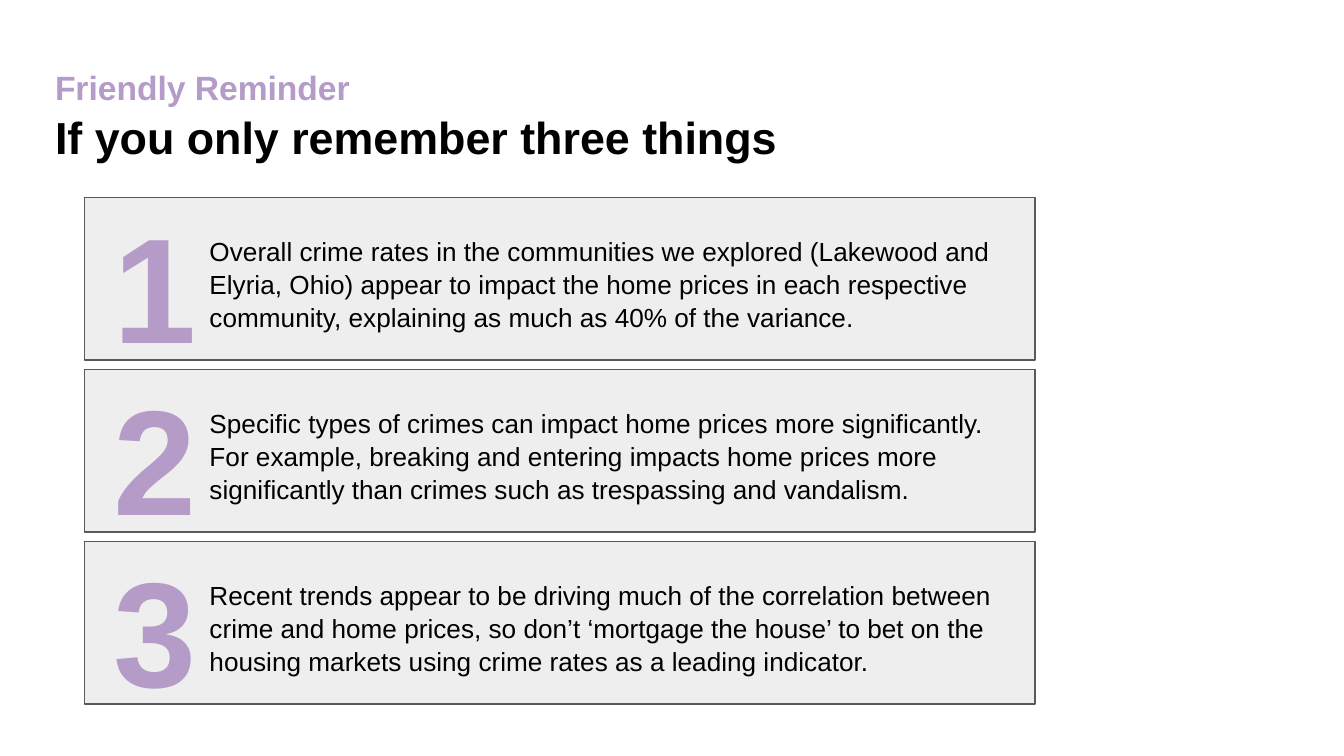
import pptx
import pptx.util
import pptx.dml.color
import pptx.enum.shapes
import pptx.enum.text
from pptx.util import Cm, Pt

COLORS = {"accent": "B49BC8", "text": "000000", "panel": "EEEEEE", "border": "595959"}
ALIGN = pptx.enum.text.PP_ALIGN
ANCHOR = pptx.enum.text.MSO_ANCHOR


def rgb(name):
    return pptx.dml.color.RGBColor.from_string(COLORS[name])


def write(frame, lines, anchor=ANCHOR.TOP, align=ALIGN.LEFT):
    """Fill a text frame with lines of (text, size, colour, bold)."""
    frame.word_wrap = True
    frame.auto_size = pptx.enum.text.MSO_AUTO_SIZE.NONE
    frame.vertical_anchor = anchor
    frame.margin_left = frame.margin_right = Cm(0.25)
    frame.margin_top = frame.margin_bottom = Cm(0.25)
    frame.text = "\n".join(line[0] for line in lines)
    for paragraph, (_, size, color, bold) in zip(frame.paragraphs, lines):
        paragraph.alignment = align
        paragraph.line_spacing = 1.05
        paragraph.font.name = "Arial"
        paragraph.font.size = Pt(size)
        paragraph.font.bold = bold
        paragraph.font.color.rgb = rgb(color)


presentation = pptx.Presentation()
presentation.slide_width = Cm(25.4)
presentation.slide_height = Cm(14.29)
slide = presentation.slides.add_slide(presentation.slide_layouts[5])

# Title with its kicker
title = slide.shapes.title
title.left, title.top, title.width, title.height = Cm(0.79), Cm(0.97), Cm(19), Cm(2.06)
write(title.text_frame, [
    ("Friendly Reminder", 18, "accent", True),
    ("If you only remember three things", 24, "text", True),
])

# Three numbered reminders
reminders = [
    "Overall crime rates in the communities we explored (Lakewood and Elyria, Ohio) "
    "appear to impact the home prices in each respective community, explaining as much "
    "as 40% of the variance.",
    "Specific types of crimes can impact home prices more significantly.  For example, "
    "breaking and entering impacts home prices more significantly than crimes such as "
    "trespassing and vandalism.",
    "Recent trends appear to be driving much of the correlation between crime and home "
    "prices, so don’t ‘mortgage the house’ to bet on the housing markets using crime "
    "rates as a leading indicator.",
]
first_top, pitch = 3.74, 3.25

for index, reminder in enumerate(reminders):
    top = first_top + index * pitch
    group = slide.shapes.add_group_shape()

    panel = group.shapes.add_shape(
        pptx.enum.shapes.MSO_SHAPE.RECTANGLE, Cm(1.6), Cm(top), Cm(17.96), Cm(3.07))
    panel.shadow.inherit = False
    panel.fill.solid()
    panel.fill.fore_color.rgb = rgb("panel")
    panel.line.color.rgb = rgb("border")
    panel.line.width = Pt(0.75)

    number = group.shapes.add_textbox(Cm(1.86), Cm(top + 0.15), Cm(2.16), Cm(2.77))
    write(number.text_frame, [(str(index + 1), 80, "accent", True)],
          ANCHOR.MIDDLE, ALIGN.CENTER)

    message = group.shapes.add_textbox(Cm(3.71), Cm(top + 0.43), Cm(15.3), Cm(2.21))
    write(message.text_frame, [(reminder, 14, "text", False)])
    message.text_frame.paragraphs[0].space_after = Pt(10)

presentation.save("out.pptx")
